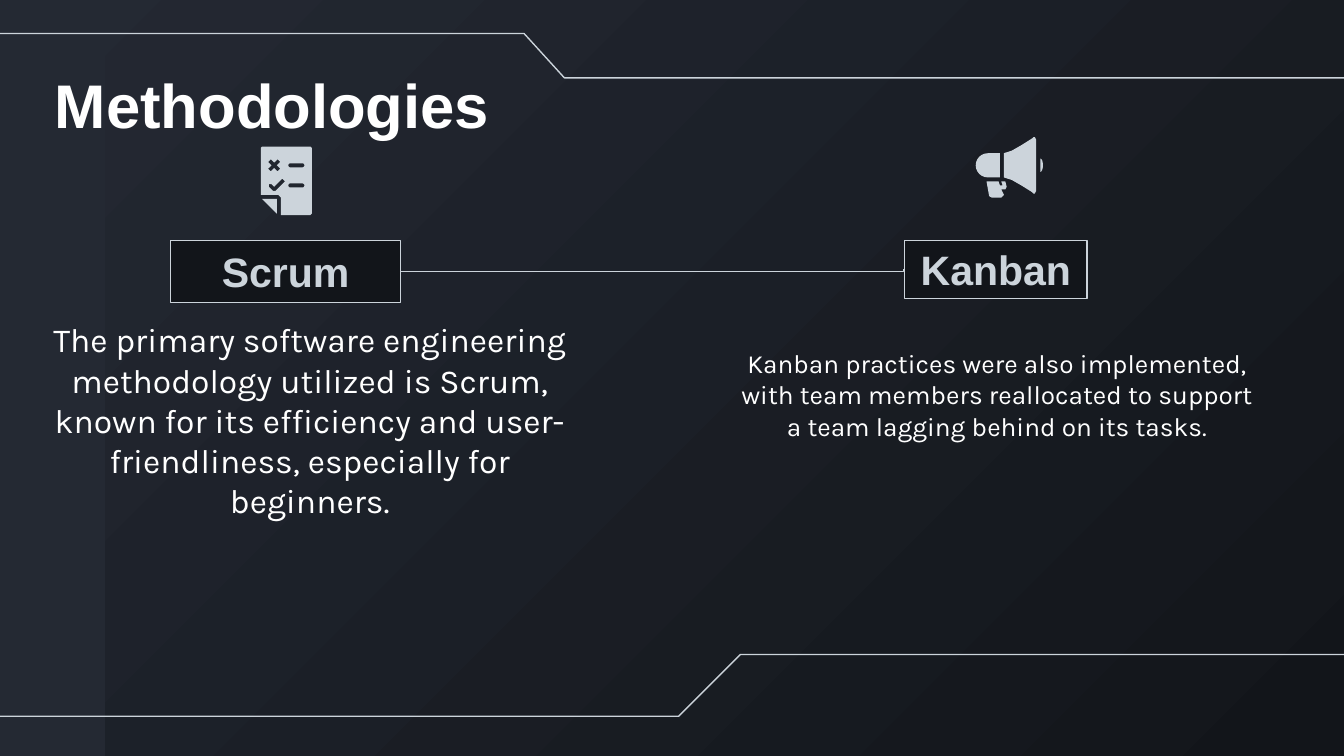
from math import cos, radians, sin

from lxml import etree
from pptx import Presentation
from pptx.dml.color import RGBColor
from pptx.enum.shapes import MSO_CONNECTOR, MSO_SHAPE
from pptx.enum.text import MSO_ANCHOR, PP_ALIGN
from pptx.oxml.ns import qn
from pptx.util import Inches, Pt

RECTANGLE = MSO_SHAPE.RECTANGLE
ELBOW = MSO_CONNECTOR.ELBOW
TOP, MIDDLE = MSO_ANCHOR.TOP, MSO_ANCHOR.MIDDLE
LEFT, CENTER = PP_ALIGN.LEFT, PP_ALIGN.CENTER
INK = RGBColor(0x12, 0x15, 0x1A)
SLATE = RGBColor(0x24, 0x29, 0x33)
SILVER = RGBColor(0xCC, 0xD4, 0xDB)
WHITE = RGBColor(0xFF, 0xFF, 0xFF)
HEADING, BODY = "Arial", "Karla"
WIDTH = 10
HEIGHT = WIDTH * 9 / 16

TITLE = ("Methodologies", (0.31, 0.4, 3.81, 0.63))
METHODS = [
    {
        "name": "Scrum",
        "label": (1.27, 1.79, 1.71, 0.46),
        "summary": "The primary software engineering methodology utilized is Scrum, "
                   "known for its efficiency and user-friendliness, especially for beginners.",
        "area": (0.16, 2.11, 4.29, 2.03),
        "size": 18,
    },
    {
        "name": "Kanban",
        "label": (6.73, 1.79, 1.36, 0.43),
        "summary": "Kanban practices were also implemented, with team members "
                   "reallocated to support a team lagging behind on its tasks.",
        "area": (5.37, 2.32, 4.1, 1.23),
        "size": 14,
    },
]
FRAME_LINES = [
    [(10.09, 4.87), (5.51, 4.87), (5.05, 5.33), (-0.17, 5.33)],
    [(-0.61, 0.25), (3.9, 0.25), (4.2, 0.58), (10.06, 0.58)],
]


def arc(x, y, radius_x, radius_y, start, end, steps=12):
    angles = [radians(start + (end - start) * i / steps) for i in range(steps + 1)]
    return [(x + radius_x * cos(a), y + radius_y * sin(a)) for a in angles]


def dash(y):
    return arc(2.25, y, 0.015, 0.015, -90, 90) + arc(2.16, y, 0.015, 0.015, 90, 270)


def cross(x, y):
    quarter = [(0.02, 0), (0.045, 0.025), (0.025, 0.045)]
    points = []
    for dx, dy in ((1, 0), (0, 1), (-1, 0), (0, -1)):
        points += [(x + dx * a - dy * b, y + dy * a + dx * b) for a, b in quarter]
    return points


SHEET = [(1.95, 1.09), (2.31, 1.09), (2.32, 1.1), (2.32, 1.59), (2.31, 1.6),
         (2.09, 1.6), (2.09, 1.47), (2.07, 1.45), (1.94, 1.45), (1.94, 1.1)]
TICK = [(2.1, 1.33), (2.12, 1.35), (2.05, 1.42), (2.03, 1.42), (2, 1.39),
        (2, 1.37), (2.02, 1.37), (2.04, 1.39)]
CORNER = [(1.95, 1.48), (2.06, 1.59), (2.06, 1.48)]
CONE = [(7.47, 1.14), (7.53, 1.12), (7.6, 1.08), (7.68, 1.03), (7.69, 1.02),
        (7.7, 1.02), (7.71, 1.04), (7.71, 1.42), (7.7, 1.44), (7.69, 1.44),
        (7.68, 1.43), (7.6, 1.38), (7.53, 1.34), (7.47, 1.32)]
HANDLE = [(7.34, 1.35), (7.43, 1.35), (7.44, 1.38), (7.46, 1.38), (7.45, 1.35),
          (7.48, 1.35), (7.49, 1.39), (7.48, 1.41), (7.45, 1.41), (7.47, 1.45),
          (7.45, 1.47), (7.38, 1.47), (7.36, 1.46)]
CHECKLIST = [[CORNER], [SHEET, dash(1.23), dash(1.38), cross(2.04, 1.23), TICK]]
MEGAPHONE = [[CONE], [HANDLE],
             [arc(7.74, 1.23, 0.02, 0.05, -90, 90)],
             [arc(7.35, 1.23, 0.09, 0.09, 90, 270) + [(7.44, 1.14), (7.44, 1.32)]]]


def draw_outline(shapes, contours, closed):
    first, *others = [[(Inches(x), Inches(y)) for x, y in points] for points in contours]
    builder = shapes.build_freeform(*first[0])
    builder.add_line_segments(first[1:], close=closed)
    for contour in others:
        builder.move_to(*contour[0])
        builder.add_line_segments(contour[1:], close=closed)
    outline = builder.convert_to_shape()
    outline.shadow.inherit = False
    return outline


def draw_line(line):
    line.color.rgb = SILVER
    line.width = Pt(0.75)


def draw_rectangle(page, area, color):
    box = page.shapes.add_shape(RECTANGLE, *map(Inches, area))
    box.shadow.inherit = False
    box.fill.solid()
    box.fill.fore_color.rgb = color
    return box


def write(box, text, font, size, color, bold=False, align=CENTER, anchor=MIDDLE):
    frame = box.text_frame
    frame.word_wrap = True
    frame.vertical_anchor = anchor
    frame.margin_left = frame.margin_right = Inches(0.1)
    frame.margin_top = frame.margin_bottom = Inches(0.1)
    para = frame.paragraphs[0]
    para.alignment = align
    span = para.add_run()
    span.text = text
    span.font.name = font
    span.font.size = Pt(size)
    span.font.bold = bold
    span.font.color.rgb = color


def join(page, start, end):
    y1, y2 = start.top + start.height // 2, end.top + end.height // 2
    link = page.shapes.add_connector(ELBOW, start.left + start.width, y1, end.left, y2)
    link.begin_connect(start, 3)
    link.end_connect(end, 1)
    draw_line(link.line)
    properties = link._element.spPr
    etree.SubElement(properties, qn("a:effectLst"))
    geometry = properties.find(qn("a:prstGeom"))
    guides = geometry.find(qn("a:avLst"))
    if guides is None:
        guides = etree.SubElement(geometry, qn("a:avLst"))
    etree.SubElement(guides, qn("a:gd"), name="adj1", fmla="val 99800")


def main():
    deck = Presentation()
    deck.slide_width, deck.slide_height = Inches(WIDTH), Inches(HEIGHT)
    page = deck.slides.add_slide(deck.slide_layouts[6])

    backdrop = page.background.fill
    backdrop.gradient()
    backdrop.gradient_angle = 135
    for stop, color, position in zip(backdrop.gradient_stops, (INK, SLATE), (0, 1)):
        stop.color.rgb = color
        stop.position = position

    sidebar = draw_rectangle(page, (0, 0, 0.78, HEIGHT), SLATE)
    sidebar.line.fill.background()
    for points in FRAME_LINES:
        frame_line = draw_outline(page.shapes, [points], False)
        frame_line.fill.background()
        draw_line(frame_line.line)

    text, area = TITLE
    title = page.shapes.add_textbox(*map(Inches, area))
    write(title, text, HEADING, 33, WHITE, True, LEFT, TOP)

    labels = []
    for method in METHODS:
        label = draw_rectangle(page, method["label"], INK)
        draw_line(label.line)
        write(label, method["name"], HEADING, 22, SILVER, True)
        labels.append(label)
        summary = page.shapes.add_textbox(*map(Inches, method["area"]))
        write(summary, method["summary"], BODY, method["size"], WHITE)

    for icon in (MEGAPHONE, CHECKLIST):
        group = page.shapes.add_group_shape()
        for contours in icon:
            part = draw_outline(group.shapes, contours, True)
            part.fill.solid()
            part.fill.fore_color.rgb = SILVER
            part.line.fill.background()

    join(page, *labels)
    deck.save("out.pptx")


if __name__ == "__main__":
    main()
